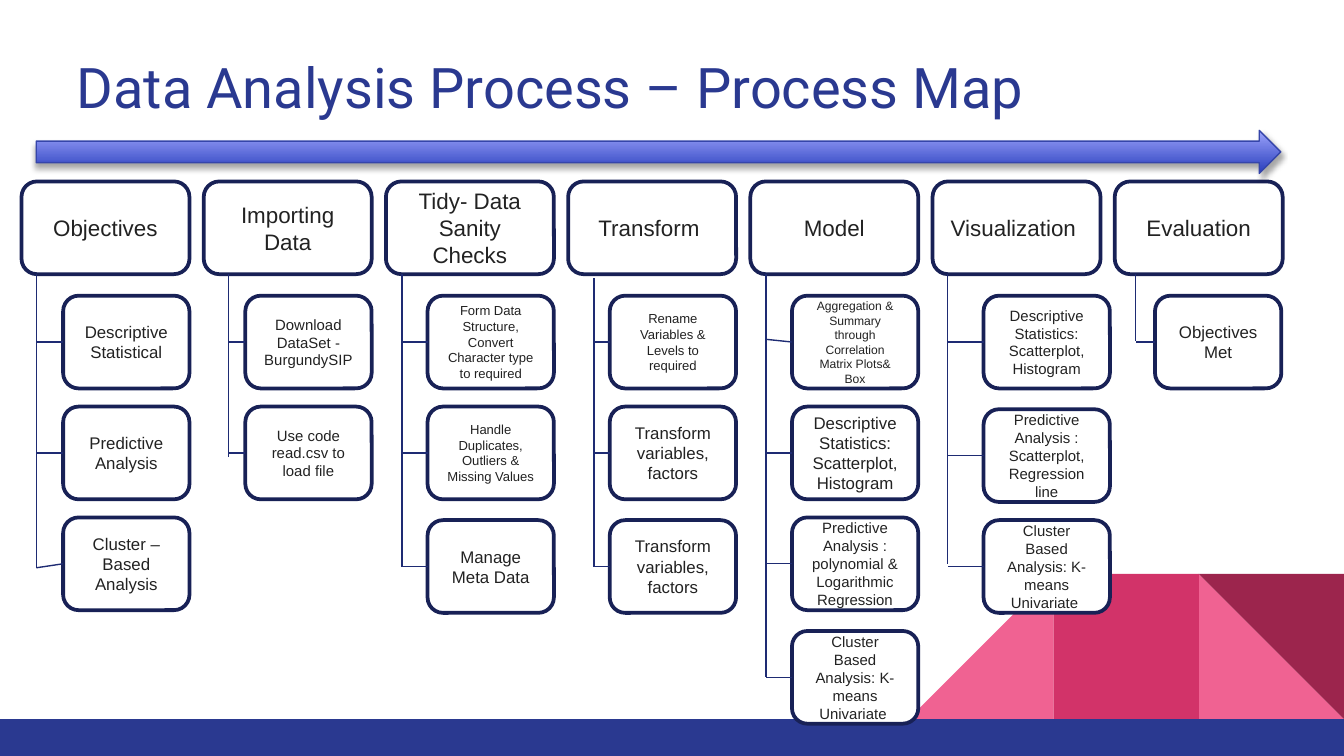
from lxml.etree import SubElement
from pptx import Presentation
from pptx.dml.color import RGBColor
from pptx.enum.shapes import MSO_CONNECTOR, MSO_SHAPE
from pptx.enum.text import MSO_ANCHOR, PP_ALIGN
from pptx.oxml.ns import qn
from pptx.util import Inches, Pt

HEX = {
    "navy": "2A3990", "edge": "182156", "wire": "1E2B73", "ink": "222222",
    "white": "FFFFFF", "pink": "F06292", "rose": "D23369", "wine": "9C254D",
    "deep": "283DBC", "pale": "9DA4FC", "rim": "3545AA", "black": "000000",
}
COLOR = {name: RGBColor.from_string(code) for name, code in HEX.items()}

WIDE = 10
HIGH = WIDE * 9 / 16
LEFT, STEP = 0.16, 9.49 / 7          # header columns
TOP, ROW = 2.2, 3.3 / 4              # rows of step boxes
HEAD, HEAD_W, STEP_W, BOX_H = 1.35, 1.25, 0.94, 0.69
INDENT = 0.31
TILE, BAR = 1.08, 5.35               # corner tiles and footer top

# header, indent shift, spine x, spine top, spine end,
# steps: (text, size, shift down, tilt of the branch)
STAGES = [
    ("Objectives", 0, 0.27, 2.04, 4.22, [
        ("Descriptive Statistical", 9, 0, 0),
        ("Predictive Analysis", 9, 0, 0),
        ("Cluster – Based Analysis", 9, 0, 0.03)]),
    ("Importing Data", 0, 1.7, 2.04, 3.4, [
        ("Download DataSet - BurgundySIP", 8, 0, 0),
        ("Use code read.csv to load file", 8, 0, 0)]),
    ("Tidy- Data Sanity Checks", 0, 2.99, 2.04, 4.22, [
        ("Form Data Structure, Convert Character type to required", 7, 0, 0),
        ("Handle Duplicates, Outliers & Missing Values", 7, 0, 0),
        ("Manage Meta Data", 9, 0.02, 0)]),
    ("Transform ", 0, 4.42, 2.07, 4.22, [
        ("Rename Variables & Levels to required", 7, 0, 0),
        ("Transform variables, factors", 9, 0, 0),
        ("Transform variables, factors", 9, 0.02, 0)]),
    ("Model", 0, 5.7, 2.04, 5.04, [
        ("Aggregation & Summary through Correlation Matrix Plots& Box",
         6.5, 0, -0.02),
        ("Descriptive Statistics: Scatterplot, Histogram", 9, 0, 0),
        ("Predictive Analysis : polynomial & Logarithmic Regression", 8, 0, 0),
        ("Cluster Based Analysis: K- means Univariate ", 8, 0.02, 0)]),
    ("Visualization ", 0.07, 7.05, 2.04, 4.2, [
        ("Descriptive Statistics: Scatterplot, Histogram", 8, 0, 0),
        ("Predictive Analysis : Scatterplot, Regression line", 8, 0.02, 0),
        ("Cluster Based Analysis: K- means Univariate ", 8, 0.02, 0)]),
    ("Evaluation", -0.01, 8.45, 2.04, 2.54, [
        ("Objectives Met", 9, 0, 0)]),
]


def write(shape, text, size=12, font="Arial", color="ink",
          align=PP_ALIGN.CENTER, anchor=MSO_ANCHOR.MIDDLE):
    frame = shape.text_frame
    frame.word_wrap = True
    frame.vertical_anchor = anchor
    frame.text = text
    par = frame.paragraphs[0]
    par.alignment = align
    run = par.runs[0]
    run.font.size = Pt(size)
    run.font.name = font
    run.font.color.rgb = COLOR[color]


def block(kind, left, top, wide, high, fill, edge=None, weight=2):
    shape = slide.shapes.add_shape(
        kind, Inches(left), Inches(top), Inches(wide), Inches(high))
    shape.shadow.inherit = False
    shape.fill.solid()
    shape.fill.fore_color.rgb = COLOR[fill]
    if edge:
        shape.line.color.rgb = COLOR[edge]
        shape.line.width = Pt(weight)
    else:
        shape.line.fill.background()
    return shape


deck = Presentation()
deck.slide_width, deck.slide_height = Inches(WIDE), Inches(HIGH)
slide = deck.slides.add_slide(deck.slide_layouts[5])

# Title
title = slide.shapes.title
title.left, title.top = Inches(0.47), Inches(0.29)
title.width, title.height = Inches(9.32), Inches(0.66)
write(title, "Data Analysis Process – Process Map", size=30, font="Roboto",
      color="navy", align=PP_ALIGN.LEFT, anchor=MSO_ANCHOR.TOP)
frame = title.text_frame
frame.margin_left = frame.margin_right = Inches(0.1)
frame.margin_top = frame.margin_bottom = Inches(0.1)

# Corner tiles (columns counted from the right edge) and footer
for col, kind, turn, fill in [
        (1, MSO_SHAPE.RIGHT_TRIANGLE, 0, "pink"),
        (3, MSO_SHAPE.RIGHT_TRIANGLE, 270, "pink"),
        (2, MSO_SHAPE.RECTANGLE, 0, "rose"),
        (1, MSO_SHAPE.RIGHT_TRIANGLE, 180, "wine")]:
    tile = block(kind, WIDE - col * TILE, BAR - TILE, TILE, TILE, fill)
    tile.rotation = turn
block(MSO_SHAPE.RECTANGLE, 0, BAR, WIDE, HIGH - BAR, "navy")

# Stages with their steps and branches
for col, (name, shift, spine, start, end, steps) in enumerate(STAGES):
    left = LEFT + col * STEP
    head = block(MSO_SHAPE.ROUNDED_RECTANGLE, left, HEAD, HEAD_W, BOX_H,
                 "white", "edge")
    write(head, name)

    wires = [(None, spine, start, spine, end)]
    for row, (text, size, down, tilt) in enumerate(steps):
        x, y = left + INDENT + shift, TOP + row * ROW + down
        box = block(MSO_SHAPE.ROUNDED_RECTANGLE, x, y, STEP_W, BOX_H,
                    "white", "edge")
        write(box, text, size=size)
        mid = y + BOX_H / 2
        wires.append((box, x, mid, spine, mid + tilt))

    for box, *ends in wires:
        wire = slide.shapes.add_connector(
            MSO_CONNECTOR.STRAIGHT, *[Inches(end) for end in ends])
        wire.line.color.rgb = COLOR["wire"]
        wire.line.width = Pt(0.75)
        SubElement(wire._element.spPr, qn("a:effectLst"))
        if box:
            wire.begin_connect(box, 1)

# Timeline arrow
arrow = block(MSO_SHAPE.RIGHT_ARROW, 0.27, 0.97, 9.26, 0.32,
              "deep", "rim", 0.75)
arrow.fill.gradient()
arrow.fill.gradient_angle = 90
for stop, name in zip(arrow.fill.gradient_stops, ["deep", "pale"]):
    stop.color.rgb = COLOR[name]
effects = arrow._element.spPr.find(qn("a:effectLst"))
shadow = SubElement(effects, qn("a:outerShdw"), blurRad=str(Pt(3.1)),
                    dist=str(Pt(1.8)), dir="5400000", rotWithShape="0")
tint = SubElement(shadow, qn("a:srgbClr"), val=HEX["black"])
SubElement(tint, qn("a:alpha"), val="35000")

deck.save("out.pptx")
